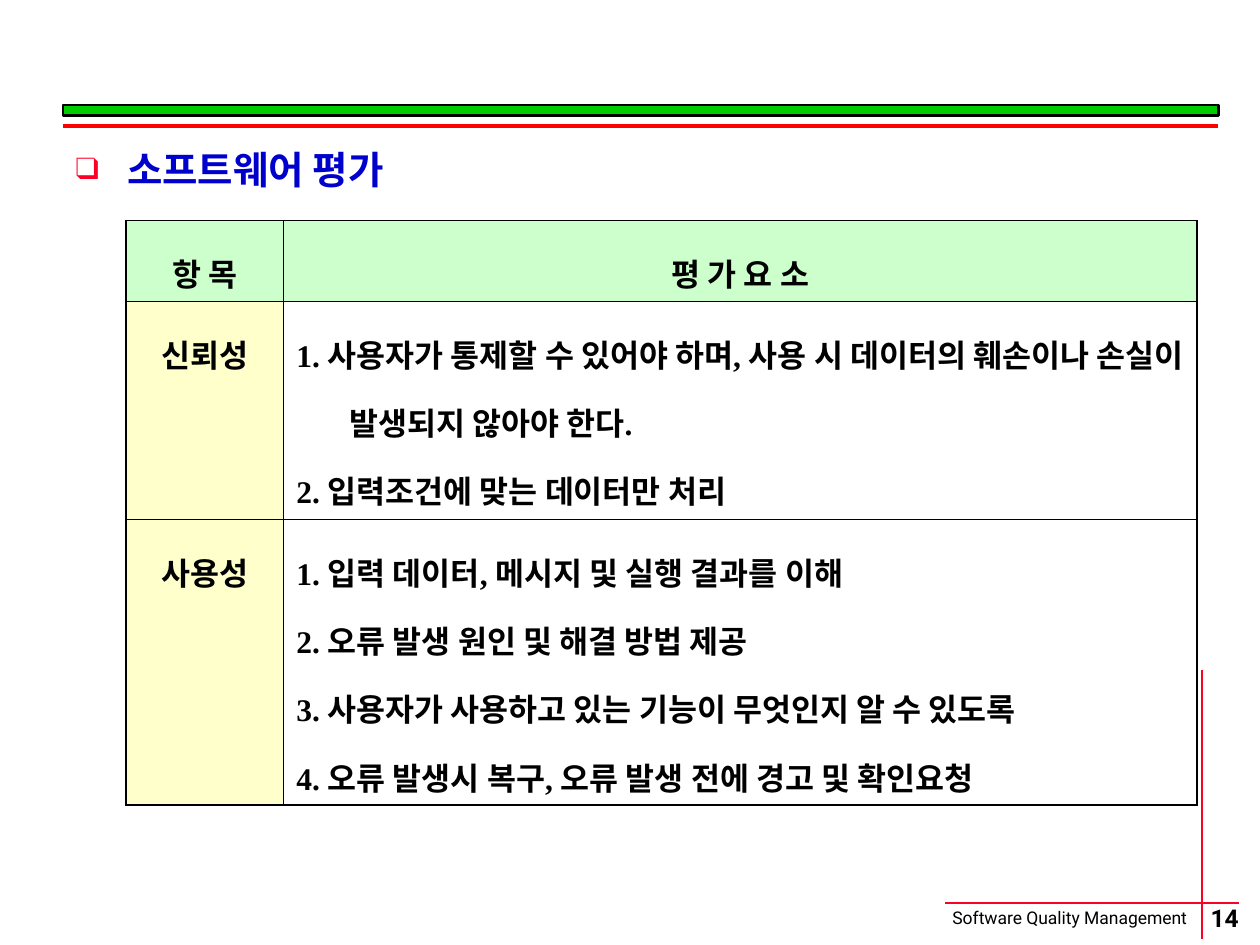
from lxml.etree import SubElement
from pptx import Presentation
from pptx.dml.color import RGBColor
from pptx.enum.shapes import MSO_CONNECTOR, MSO_SHAPE
from pptx.enum.text import MSO_ANCHOR, MSO_AUTO_SIZE, PP_ALIGN
from pptx.oxml.ns import qn
from pptx.util import Cm, Pt

COLORS = {
    "black": "000000", "blue": "0000CC", "red": "FF0000", "crimson": "FC0128",
    "green": "00CC00", "header": "CCFFCC", "item": "FFFFCC",
}
HEADING = "소프트웨어 평가"
HEADERS = ("항 목", "평 가 요 소")
CRITERIA = [
    ("신뢰성", [
        "1. 사용자가 통제할 수 있어야 하며, 사용 시 데이터의 훼손이나 손실이 발생되지 않아야 한다.",
        "2. 입력조건에 맞는 데이터만 처리",
    ]),
    ("사용성", [
        "1. 입력 데이터, 메시지 및 실행 결과를 이해",
        "2. 오류 발생 원인 및 해결 방법 제공",
        "3. 사용자가 사용하고 있는 기능이 무엇인지 알 수 있도록",
        "4. 오류 발생시 복구, 오류 발생 전에 경고 및 확인요청",
    ]),
]
COLUMN_WIDTHS = (3.18, 18.41)
ROW_HEIGHTS = (1.63, 4.39, 5.76)
RULES = [
    ((1.27, 2.54), (24.56, 2.54), "red", 2.25),
    ((19.05, 18.21), (24.97, 18.21), "crimson", 1),
    ((24.23, 13.51), (24.23, 18.92), "crimson", 1),
]
FOOTERS = [
    ("Software Quality Management", (18.95, 18.16, 5.56, 0.69), (0.25, 0.13),
     MSO_ANCHOR.TOP, {"size": 10}),
    ("14", (23.42, 18.16, 2.54, 0.69), (0, 0),
     MSO_ANCHOR.MIDDLE, {"size": 14, "bold": True, "align": PP_ALIGN.CENTER}),
]


def rgb(name):
    return RGBColor.from_string(COLORS[name])


def write(para, text, size=18, font="Roboto", color="black", bold=False,
          align=PP_ALIGN.LEFT, spacing=None, hanging=0):
    para.alignment = align
    para.line_spacing = spacing
    properties = para._p.get_or_add_pPr()
    properties.set("marL", str(Cm(hanging)))
    properties.set("indent", str(-Cm(hanging)))
    span = para.add_run()
    span.text = text
    span.font.size = Pt(size)
    span.font.name = font
    span.font.bold = bold
    span.font.color.rgb = rgb(color)
    SubElement(span._r.get_or_add_rPr(), qn("a:ea"), typeface="Noto Sans CJK KR")


def add_bullet(para, symbol, color, percent):
    properties = para._p.get_or_add_pPr()
    holder = SubElement(properties, qn("a:buClr"))
    SubElement(holder, qn("a:srgbClr"), val=COLORS[color])
    SubElement(properties, qn("a:buSzPct"), val=str(percent * 1000))
    SubElement(properties, qn("a:buFont"), typeface="Times New Roman")
    SubElement(properties, qn("a:buChar"), char=symbol)


def add_rule(page, start, end, color, width):
    rule = page.shapes.add_connector(
        MSO_CONNECTOR.STRAIGHT, *map(Cm, start), *map(Cm, end))
    rule.line.color.rgb = rgb(color)
    rule.line.width = Pt(width)
    SubElement(rule._element.spPr, qn("a:effectLst"))


def add_borders(cell, outer_sides):
    properties = cell._tc.get_or_add_tcPr()
    for side in "LRTB":
        width = Pt(1.08 if side in outer_sides else 0.45)
        border = SubElement(properties, qn(f"a:ln{side}"), w=str(width))
        fill = SubElement(border, qn("a:solidFill"))
        SubElement(fill, qn("a:srgbClr"), val=COLORS["black"])


def fill_cell(cell, lines, fill, outer_sides, **style):
    add_borders(cell, outer_sides)
    if fill:
        cell.fill.solid()
        cell.fill.fore_color.rgb = rgb(fill)
    else:
        cell.fill.background()
    frame = cell.text_frame
    for index, line in enumerate(lines):
        para = frame.add_paragraph() if index else frame.paragraphs[0]
        write(para, line, font="Times New Roman", bold=True, spacing=1.5, **style)


def add_criteria_table(page):
    rows = [([HEADERS[0]], [HEADERS[1]])] + [([item], lines) for item, lines in CRITERIA]
    table = page.shapes.add_table(
        len(rows), 2, Cm(2.54), Cm(4.45),
        Cm(sum(COLUMN_WIDTHS)), Cm(sum(ROW_HEIGHTS))).table
    for column, width in zip(table.columns, COLUMN_WIDTHS):
        column.width = Cm(width)
    for row, height in zip(table.rows, ROW_HEIGHTS):
        row.height = Cm(height)
    for i, cells in enumerate(rows):
        edge = {len(rows) - 1: "B"}.get(i, "")
        for j, lines in enumerate(cells):
            fill = "header" if i == 0 else ("item", None)[j]
            align = PP_ALIGN.CENTER if i == 0 or j == 0 else PP_ALIGN.LEFT
            fill_cell(table.cell(i, j), lines, fill, edge + "LR"[j],
                      align=align, hanging=1.07 * j)


def add_heading(page):
    title = page.shapes.title
    title.left, title.top, title.width, title.height = map(Cm, (1.27, 2.54, 23.29, 1.8))
    frame = title.text_frame
    frame.vertical_anchor = MSO_ANCHOR.TOP
    frame.auto_size = MSO_AUTO_SIZE.NONE
    para = frame.paragraphs[0]
    write(para, HEADING, size=22, font="Noto Sans CJK KR", color="blue",
          bold=True, spacing=1.3, hanging=1.04)
    add_bullet(para, "❑", "crimson", 80)


def add_footer(page, text, place, insets, anchor, style):
    box = page.shapes.add_textbox(*map(Cm, place))
    frame = box.text_frame
    frame.word_wrap = False
    frame.vertical_anchor = anchor
    frame.margin_left = frame.margin_right = Cm(insets[0])
    frame.margin_top = frame.margin_bottom = Cm(insets[1])
    write(frame.paragraphs[0], text, **style)


def main():
    """Build the software evaluation slide."""
    deck = Presentation()
    deck.slide_width, deck.slide_height = Cm(25.4), Cm(19.05)
    page = deck.slides.add_slide(deck.slide_layouts[5])
    bar = page.shapes.add_shape(MSO_SHAPE.RECTANGLE, *map(Cm, (1.27, 2.12, 23.29, 0.21)))
    bar.shadow.inherit = False
    bar.fill.solid()
    bar.fill.fore_color.rgb = rgb("green")
    bar.line.color.rgb = rgb("black")
    bar.line.width = Pt(1.5)
    for rule in RULES:
        add_rule(page, *rule)
    for footer in FOOTERS:
        add_footer(page, *footer)
    add_heading(page)
    add_criteria_table(page)
    deck.save("out.pptx")


if __name__ == "__main__":
    main()
